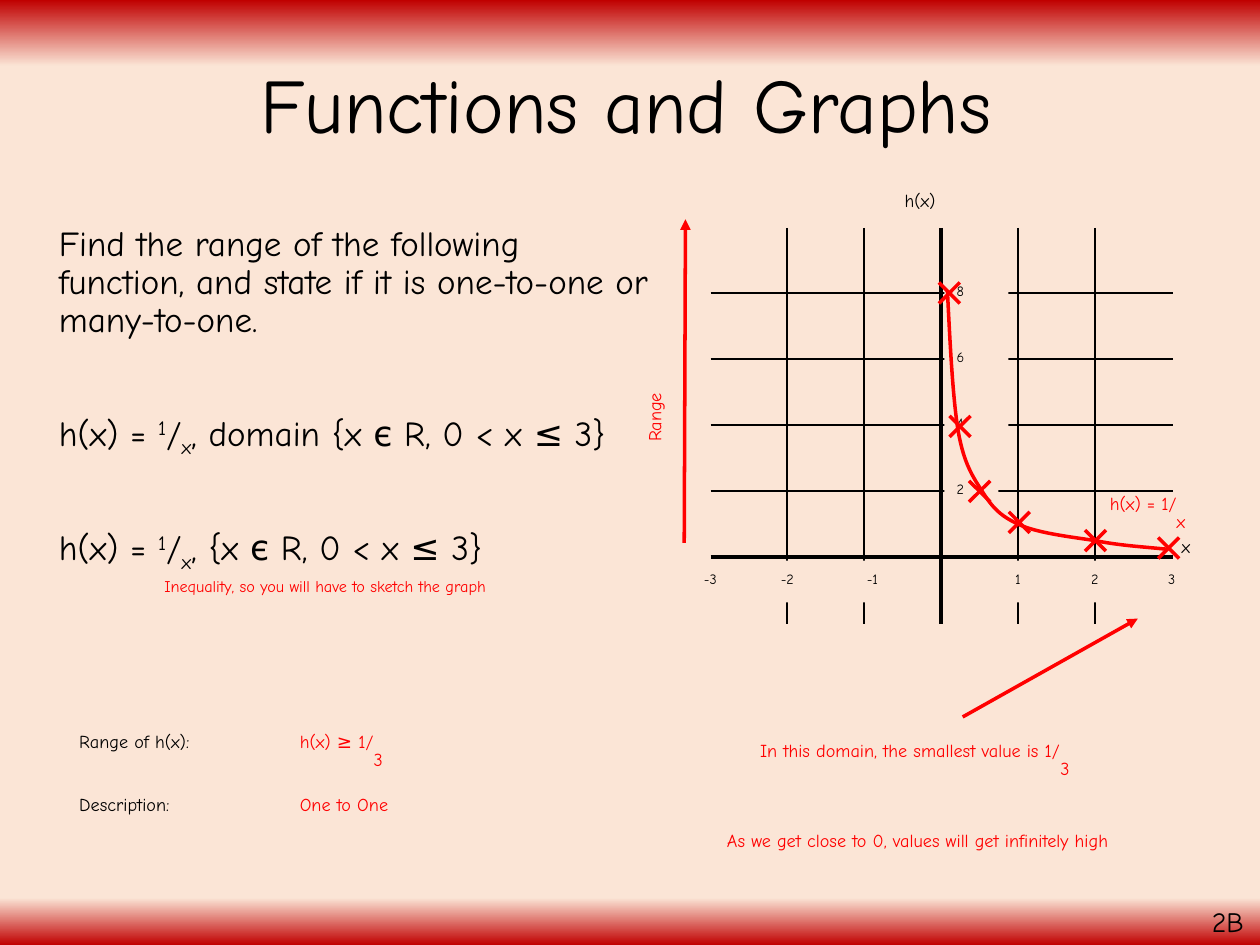
from copy import deepcopy
from lxml import etree
from pptx import Presentation
from pptx import util as u
from pptx.dml.color import RGBColor
from pptx.enum import shapes, text
from pptx.oxml.ns import qn

Pt = u.Pt
FONT = "Comic Neue"
BLACK = RGBColor(0, 0, 0)
RED = RGBColor(255, 0, 0)
DARK = RGBColor(0xC0, 0, 0)
CREAM = RGBColor(0xFB, 0xE5, 0xD6)
LEFT, MID = text.PP_ALIGN.LEFT, text.PP_ALIGN.CENTER

# Content: a run is (words, baseline in percent)
UP, DOWN = 30, -25
STOPS = [(0, DARK), (0.07, CREAM), (0.95, CREAM), (1, DARK)]
TITLE = "Functions and Graphs"
TASK = [
    [("Find the range of the following function, and state if it is "
      "one-to-one or many-to-one.", 0)],
    [("h(x) = ", 0), ("1", UP), ("/", 0), ("x", DOWN),
     (", domain {x є R, 0 < x ≤ 3}", 0)],
    [("h(x) = ", 0), ("1", UP), ("/", 0), ("x", DOWN),
     (", {x є R, 0 < x ≤ 3}", 0)],
]
# Raised notes: words, lowered end, box, size, colour, alignment, turn
NOTES = [
    ("Range of h(x):", "", (38.2, 411.8, 139.7, 28.8), 18, BLACK, LEFT, 0),
    ("h(x) ≥ 1/", "3", (164.2, 411.8, 113.8, 28.8), 18, RED, LEFT, 0),
    ("Description:", "", (38.2, 447.8, 131.8, 28.8), 18, BLACK, LEFT, 0),
    ("One to One", "", (164.2, 447.8, 113.8, 28.8), 18, RED, LEFT, 0),
    ("Inequality, so you will have to sketch the graph", "",
     (41.8, 324, 288, 46), 16, RED, MID, 0),
    ("x", "", (668.2, 300.2, 25.9, 28.8), 18, BLACK, LEFT, 0),
    ("h(x)", "", (509.8, 102.2, 60.5, 28.8), 18, BLACK, LEFT, 0),
    ("Range", "", (340.6, 209.5, 71.3, 28.8), 18, RED, LEFT, 270),
    ("In this domain, the smallest value is 1/", "3",
     (416.2, 416.9, 213.1, 50.4), 18, RED, MID, 0),
    ("As we get close to 0, values will get infinitely high", "",
     (396, 468, 257, 50.4), 18, RED, MID, 0),
    ("h(x) = 1/", "x", (627.1, 275.8, 93.6, 28.8), 18, RED, LEFT, 0),
]

# Graph: axes, labels and plotted points
X0, Y0, DX, DY = 537.8, 318.2, 43.95, 37.65
WEST, EAST, NORTH, SOUTH = 406.1, 670.3, 130.3, 356.4
XTAGS = [(1, 23.8, 0), (2, 23.8, 0), (-1, 35.3, 4.7), (-2, 30.2, 0),
         (3, 23.8, 0), (-3, 32.4, 0)]          # value, width, nudge
YTAGS = [(2, 31), (4, 36.7), (6, 36.7), (8, 36.7)]  # value, width
MARKS = [(582.5, 298.5), (626, 308.9), (667.8, 313.2),
         (559.8, 280.8), (542.5, 167.4), (548.6, 243.7)]
CURVE = [
    (667.4, 313.9),
    (653.8, 312.5), (640.1, 311.8), (625.7, 308.9),
    (611.3, 306.7), (592.6, 304.6), (581.8, 299.5),
    (571, 294.5), (566.6, 289.4), (560.9, 280.1),
    (555.1, 271.4), (550.1, 262.8), (547.2, 244.1),
    (544.3, 224.6), (542.9, 195.8), (541.4, 166.3),
]
ARROWS = [((391, 310.3), (391.7, 125.3)), ((550.1, 409.7), (650.2, 353.5))]

deck = Presentation()
deck.slide_width, deck.slide_height = Pt(720), Pt(540)
slide = deck.slides.add_slide(deck.slide_layouts[6])
tree = slide.shapes


def put(obj, vals):
    for key, val in vals.items():
        setattr(obj, key, val)


def write(para, runs, size, color):
    for words, base in runs:
        run = para.add_run()
        run.text = words
        put(run.font, {"size": Pt(size), "name": FONT})
        run.font.color.rgb = color
        if base:
            run.font._element.set("baseline", str(base * 1000))


def box(rect, fit=True):
    shape = tree.add_textbox(*map(Pt, rect))
    kind = text.MSO_AUTO_SIZE
    put(shape.text_frame, {"word_wrap": True, "auto_size":
                           kind.SHAPE_TO_FIT_TEXT if fit else kind.NONE})
    return shape


def note(shape, words, low, size, color, align):
    para = shape.text_frame.paragraphs[0]
    para.alignment = align
    gap = etree.SubElement(para._p.get_or_add_pPr(), qn("a:spcBef"))
    etree.SubElement(gap, qn("a:spcPct")).set("val", "50000")
    runs = [(words, UP)] + ([(low, DOWN)] if low else [])
    write(para, runs, size, color)


def line(home, start, end, color, width, head=False):
    link = home.add_connector(shapes.MSO_CONNECTOR.STRAIGHT,
                              *map(Pt, start + end))
    link.line.color.rgb = color
    link.line.width = Pt(width)
    if head:
        etree.SubElement(link.line._get_or_add_ln(),
                         qn("a:tailEnd")).set("type", "triangle")
    etree.SubElement(link._element.spPr, qn("a:effectLst"))


def tag(words, rect, align):
    shape = tree.add_shape(shapes.MSO_SHAPE.RECTANGLE, *map(Pt, rect))
    shape.shadow.inherit = False
    shape.fill.solid()
    shape.fill.fore_color.rgb = CREAM
    shape.line.fill.background()
    put(shape.text_frame, {"word_wrap": True,
                           "vertical_anchor": text.MSO_ANCHOR.TOP})
    note(shape, words, "", 14, BLACK, align)


# Background
fill = slide.background.fill
fill.gradient()
fill.gradient_angle = 270
stops = slide._element.find(".//" + qn("a:gsLst"))
for stop in list(stops):
    stops.append(deepcopy(stop))
for stop, (spot, color) in zip(fill.gradient_stops, STOPS):
    stop.position = spot
    stop.color.rgb = color

# Task
frame = box((8.6, 126, 373.7, 356.4), False).text_frame
for i, runs in enumerate(TASK):
    para = frame.add_paragraph() if i else frame.paragraphs[0]
    put(para, {"line_spacing": 0.9, "space_before": Pt(41 if i else 10)})
    para._p.get_or_add_pPr().set("marL", str(Pt(18)))
    write(para, runs, 20, BLACK)

# Grid and axes
for n in range(5):
    y = Y0 - n * DY
    line(tree, (WEST, y), (EAST, y), BLACK, 1 if n else 2.5)
for n in range(-2, 3):
    x = X0 + n * DX
    line(tree, (x, NORTH), (x, SOUTH), BLACK, 1 if n else 2.5)

# Axis labels
for n, wide, nudge in XTAGS:
    tag(str(n), (X0 + n * DX - wide / 2 + nudge, 320.4, wide, 23.8), MID)
for n, wide in YTAGS:
    tag(str(n), (539.6, Y0 - n / 2 * DY - 11.3, wide, 23.8), LEFT)

# Crosses
for x, y in MARKS:
    home = tree.add_group_shape().shapes
    for d in (6, -6):
        line(home, (x - d, y - 6), (x + d, y + 6), RED, 2)

# Curve: each three points become one cubic piece
pts = [(Pt(x), Pt(y)) for x, y in CURVE]
pen = tree.build_freeform(*pts[0])
pen.add_line_segments(pts[1:], close=False)
curve = pen.convert_to_shape()
curve.shadow.inherit = False
curve.fill.background()
curve.line.color.rgb = RED
curve.line.width = Pt(2)
track = curve._element.find(".//" + qn("a:path"))
steps = track.findall(qn("a:lnTo"))
for i in range(0, len(steps), 3):
    bend = etree.SubElement(track, qn("a:cubicBezTo"))
    for step in steps[i:i + 3]:
        bend.append(step[0])
        track.remove(step)

# Arrows and notes
for start, end in ARROWS:
    line(tree, start, end, RED, 2, True)
for words, low, rect, size, color, align, turn in NOTES:
    shape = box(rect)
    shape.rotation = turn
    note(shape, words, low, size, color, align)

# Title and page mark
frame = box((47.5, 10.1, 620.6, 104.4), False).text_frame
frame.vertical_anchor = text.MSO_ANCHOR.MIDDLE
put(frame.paragraphs[0], {"alignment": MID, "line_spacing": 0.9})
write(frame.paragraphs[0], [(TITLE, 0)], 44, BLACK)
frame = box((685.4, 513.4, 40.3, 26.6)).text_frame
write(frame.paragraphs[0], [("2B", 0)], 16, BLACK)

deck.save("out.pptx")
